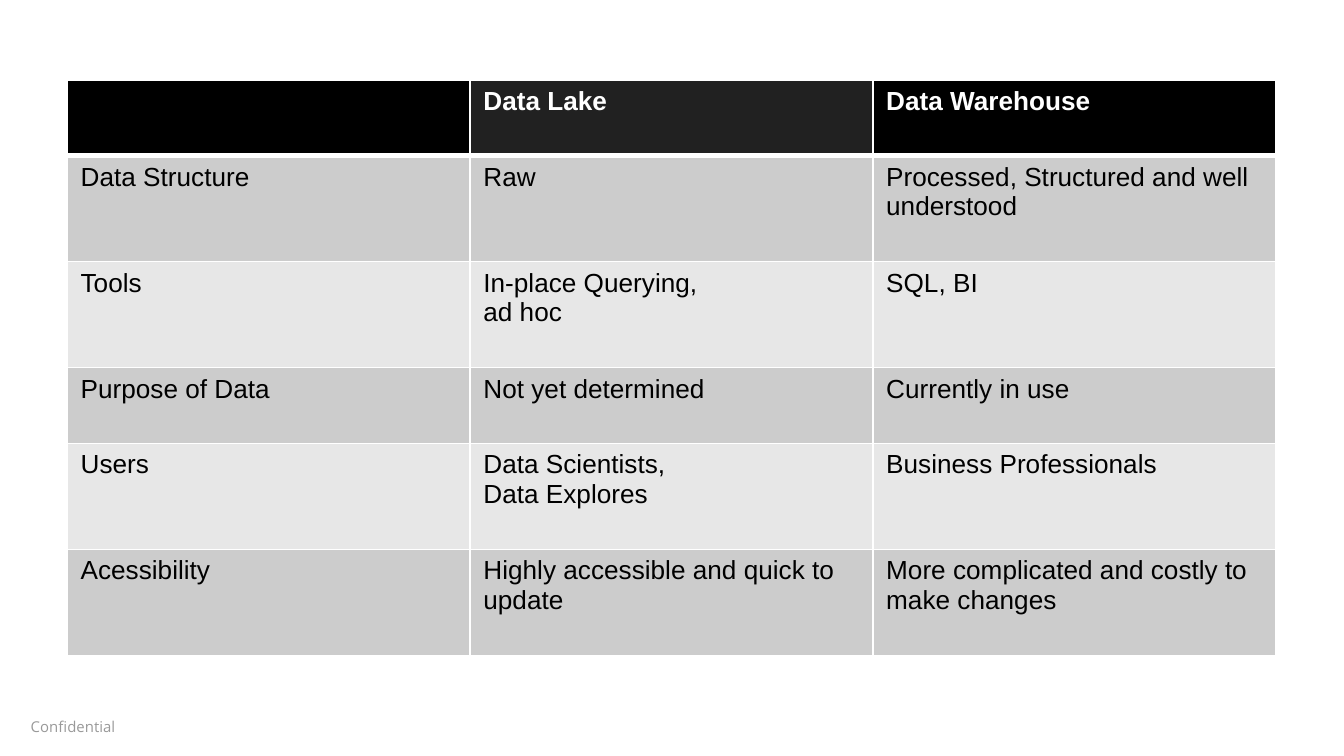
from lxml.etree import SubElement
from pptx import Presentation
from pptx.dml.color import RGBColor
from pptx.oxml.ns import qn
from pptx.util import Pt

BLACK = RGBColor(0x00, 0x00, 0x00)
CHARCOAL = RGBColor(0x21, 0x21, 0x21)
WHITE = RGBColor(0xFF, 0xFF, 0xFF)
DARK_BAND = RGBColor(0xCC, 0xCC, 0xCC)
LIGHT_BAND = RGBColor(0xE7, 0xE7, 0xE7)
FOOTER_GRAY = RGBColor(0x99, 0x99, 0x99)

HEADER_FILLS = (BLACK, CHARCOAL, BLACK)
BANDS = (DARK_BAND, LIGHT_BAND)
ROWS = [
    ("", "Data Lake", "Data Warehouse"),
    ("Data Structure", "Raw", "Processed, Structured and well understood"),
    ("Tools", "In-place Querying,\nad hoc", "SQL, BI"),
    ("Purpose of Data", "Not yet determined", "Currently in use"),
    ("Users", "Data Scientists,\nData Explores", "Business Professionals"),
    ("Acessibility", "Highly accessible and quick to update",
     "More complicated and costly to make changes"),
]
SHORT, TALL = 40.6, 56.8
ROW_HEIGHTS = (SHORT, TALL, TALL, SHORT, TALL, TALL)
LEFT, TOP, COL_WIDTH = 36, 42.8, 215.8


def style_font(p, name, size, color, bold=False):
    p.font.name = name
    p.font.size = Pt(size)
    p.font.bold = bold
    p.font.color.rgb = color


def set_borders(cell, top, bottom):
    """Draw white cell borders; top and bottom are widths in points."""
    tc_pr = cell._tc.get_or_add_tcPr()
    for side, width in (("L", 1), ("R", 1), ("T", top), ("B", bottom)):
        ln = SubElement(tc_pr, qn(f"a:ln{side}"), w=str(Pt(width)))
        fill = SubElement(ln, qn("a:solidFill"))
        SubElement(fill, qn("a:srgbClr"), val=str(WHITE))


def add_comparison(s):
    n_rows, n_cols = len(ROWS), len(ROWS[0])
    table = s.shapes.add_table(n_rows, n_cols, Pt(LEFT), Pt(TOP),
                               Pt(COL_WIDTH * n_cols), Pt(sum(ROW_HEIGHTS))).table
    for column in table.columns:
        column.width = Pt(COL_WIDTH)
    for i, (row, height) in enumerate(zip(ROWS, ROW_HEIGHTS)):
        table.rows[i].height = Pt(height)
        header = i == 0
        for j, text in enumerate(row):
            cell = table.cell(i, j)
            cell.text = text
            # Borders precede the fill in the cell properties
            set_borders(cell, top=3 if i == 1 else 1, bottom=3 if header else 1)
            cell.fill.solid()
            cell.fill.fore_color.rgb = HEADER_FILLS[j] if header else BANDS[(i - 1) % 2]
            for p in cell.text_frame.paragraphs:
                style_font(p, "Arial", 14, WHITE if header else BLACK, header)


def add_footer(s):
    tf = s.shapes.add_textbox(Pt(9.4), Pt(379.4), Pt(163.4), Pt(13)).text_frame
    tf.word_wrap = True
    tf.margin_left = tf.margin_right = tf.margin_top = tf.margin_bottom = Pt(7.2)
    p = tf.paragraphs[0]
    p.text = "Confidential"
    style_font(p, "Open Sans", 8, FOOTER_GRAY)


def main():
    prs = Presentation()
    prs.slide_width, prs.slide_height = Pt(720), Pt(405)
    s = prs.slides.add_slide(prs.slide_layouts[6])
    add_footer(s)
    add_comparison(s)
    prs.save("out.pptx")


if __name__ == "__main__":
    main()
